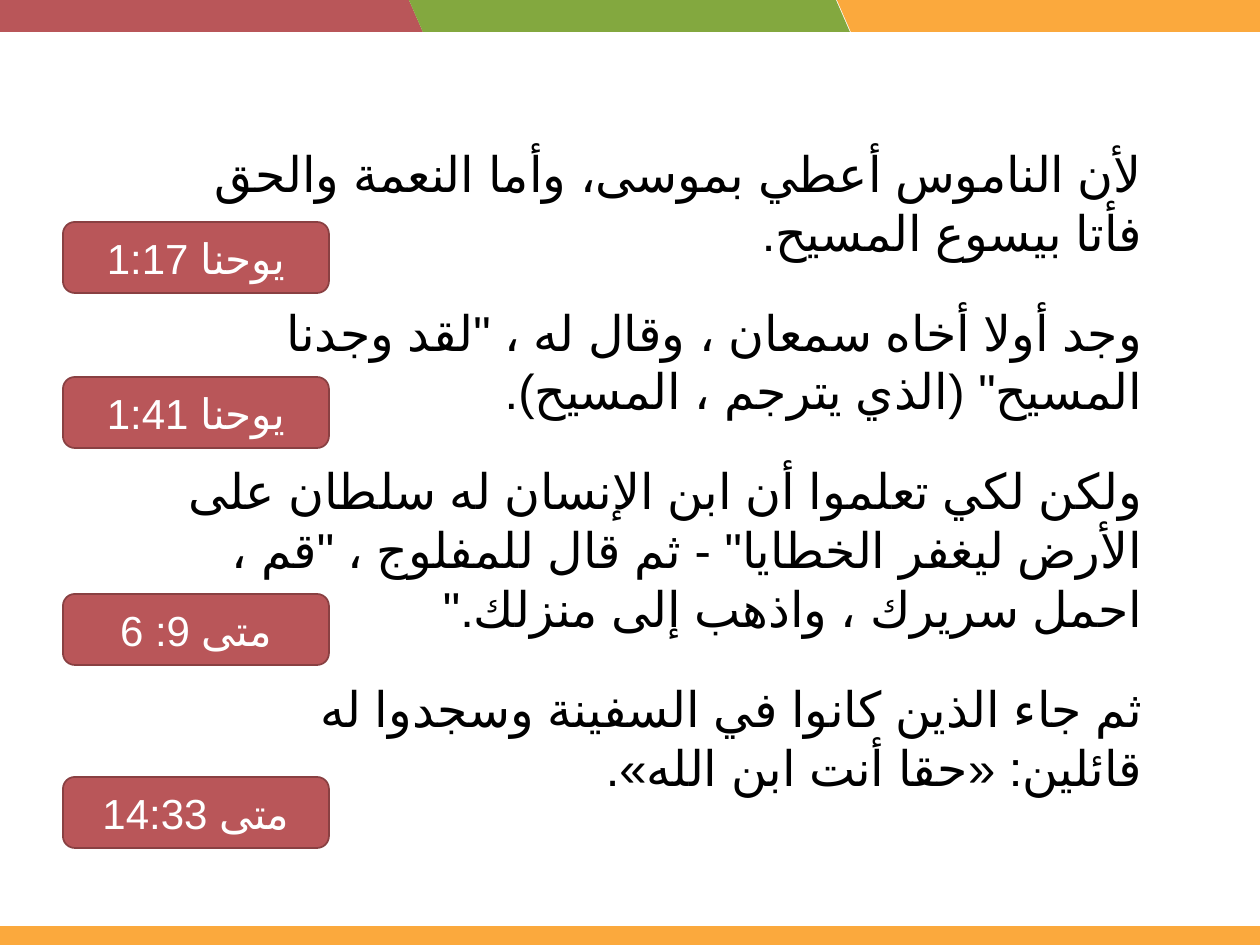
import pptx
import pptx.util
import pptx.dml.color
import pptx.enum.lang
import pptx.enum.shapes
import pptx.enum.text
import lxml.etree

RGB = pptx.dml.color.RGBColor
SHAPE = pptx.enum.shapes.MSO_SHAPE
ALIGN = pptx.enum.text.PP_ALIGN
ORANGE, RED, GREEN = RGB(0xFB, 0xA9, 0x3D), RGB(0xB9, 0x56, 0x59), RGB(0x83, 0xA8, 0x3F)
DARK_RED = RGB(0x89, 0x40, 0x42)
WHITE, BLACK = RGB(255, 255, 255), RGB(0, 0, 0)
FONT = "Arial"

# Content: verses, references with their top edge, and header bands with their left edge
VERSES = [
    "لأن الناموس أعطي بموسى، وأما النعمة والحق فأتا بيسوع المسيح.",
    "وجد أولا أخاه سمعان ، وقال له ، \"لقد وجدنا المسيح\" (الذي يترجم ، المسيح).",
    "ولكن لكي تعلموا أن ابن الإنسان له سلطان على الأرض ليغفر الخطايا\" - ثم قال للمفلوج ، \"قم ، احمل سريرك ، واذهب إلى منزلك.\"",
    "ثم جاء الذين كانوا في السفينة وسجدوا له قائلين: «حقا أنت ابن الله».",
]
REFERENCES = [("متى 14:33", 777), ("متى 9: 6", 594), ("يوحنا 1:41", 377), ("يوحنا 1:17", 222)]
BANDS = [(837, ORANGE), (-18, RED), (409, GREEN)]


def px(n):
    return pptx.util.Emu(n * 914400 // 126)


def add_box(s, kind, x, y, w, h, fill, line=None):
    sp = s.shapes.add_shape(kind, px(x), px(y), px(w), px(h))
    sp.shadow.inherit = False
    sp.fill.solid()
    sp.fill.fore_color.rgb = fill
    if line is None:
        sp.line.fill.background()
    else:
        sp.line.color.rgb = line
        sp.line.width = pptx.util.Pt(1)
    return sp


def write_rtl(p, text, size, color, align):
    p.text = text
    p.alignment = align
    p.font.name = FONT
    p.font.size = pptx.util.Pt(size)
    p.font.color.rgb = color
    # Arabic language, right-to-left direction and the complex-script font
    p.runs[0].font.language_id = pptx.enum.lang.MSO_LANGUAGE_ID.ARABIC
    pPr = p._p.get_or_add_pPr()
    pPr.set("rtl", "1")
    latin = pPr.find(".//" + pptx.oxml.ns.qn("a:latin"))
    cs = lxml.etree.Element(pptx.oxml.ns.qn("a:cs"), typeface=FONT)
    latin.addnext(cs)


prs = pptx.Presentation()
prs.slide_width, prs.slide_height = px(1260), px(945)
s = prs.slides.add_slide(prs.slide_layouts[6])

# Header bands and footer bar
for x, color in BANDS:
    sp = add_box(s, SHAPE.PARALLELOGRAM, x, 0, 441, 32, color)
    sp.adjustments[0] = 0.436
    sp._element.spPr.xfrm.set("flipH", "1")
add_box(s, SHAPE.RECTANGLE, 0, 926, 1260, 19, ORANGE)

# Reference labels
for text, y in REFERENCES:
    sp = add_box(s, SHAPE.ROUNDED_RECTANGLE, 63, y, 266, 71, RED, DARK_RED)
    tf = sp.text_frame
    tf.vertical_anchor = pptx.enum.text.MSO_ANCHOR.MIDDLE
    write_rtl(tf.paragraphs[0], text, 24, WHITE, ALIGN.CENTER)

# Verses
tf = s.shapes.add_textbox(px(171), px(137), px(984), px(674)).text_frame
tf.word_wrap = True
for i, text in enumerate(VERSES):
    p = tf.add_paragraph() if i else tf.paragraphs[0]
    if i:
        p.space_before = pptx.util.Pt(23.5)
    write_rtl(p, text, 28, BLACK, ALIGN.RIGHT)

prs.save("out.pptx")
